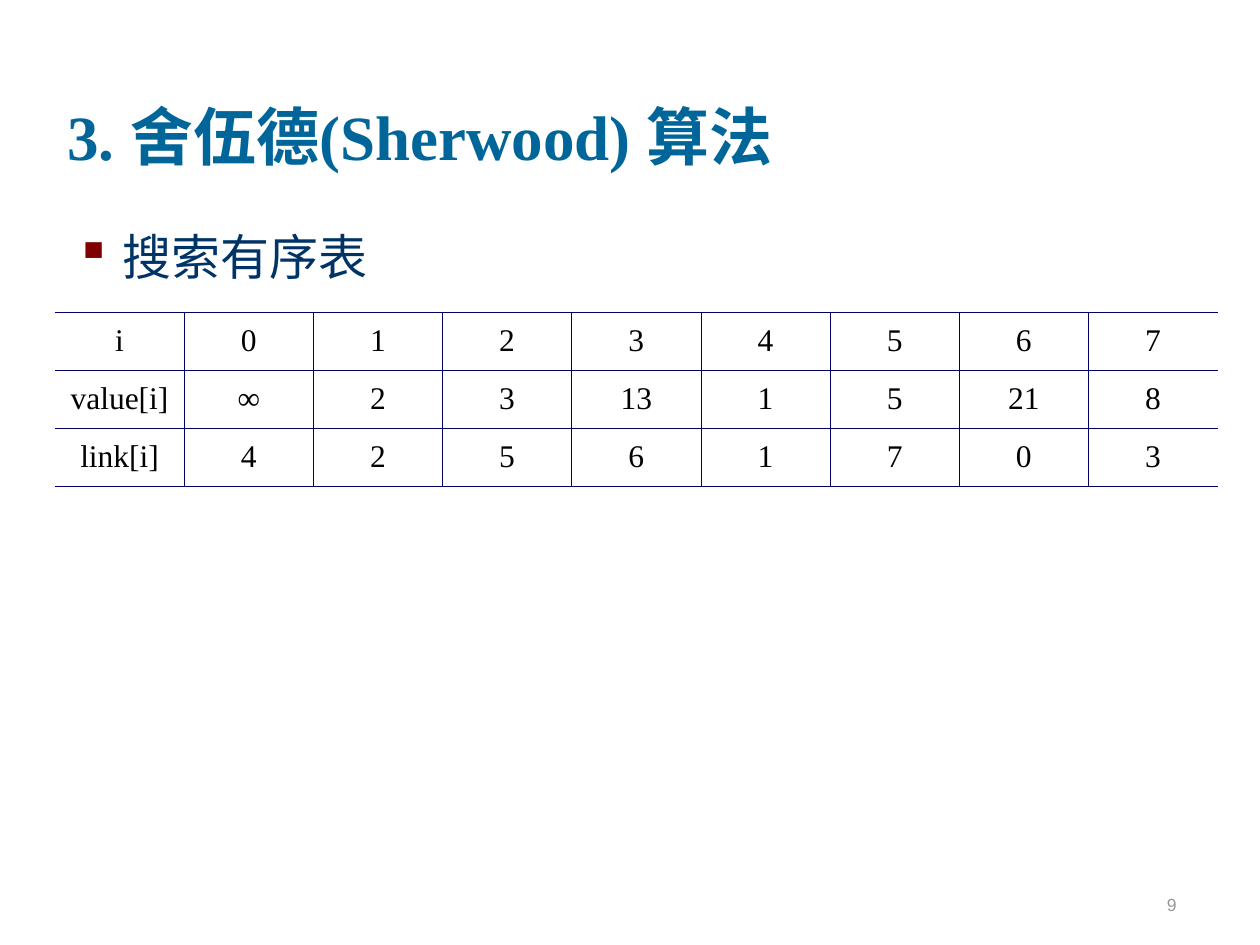
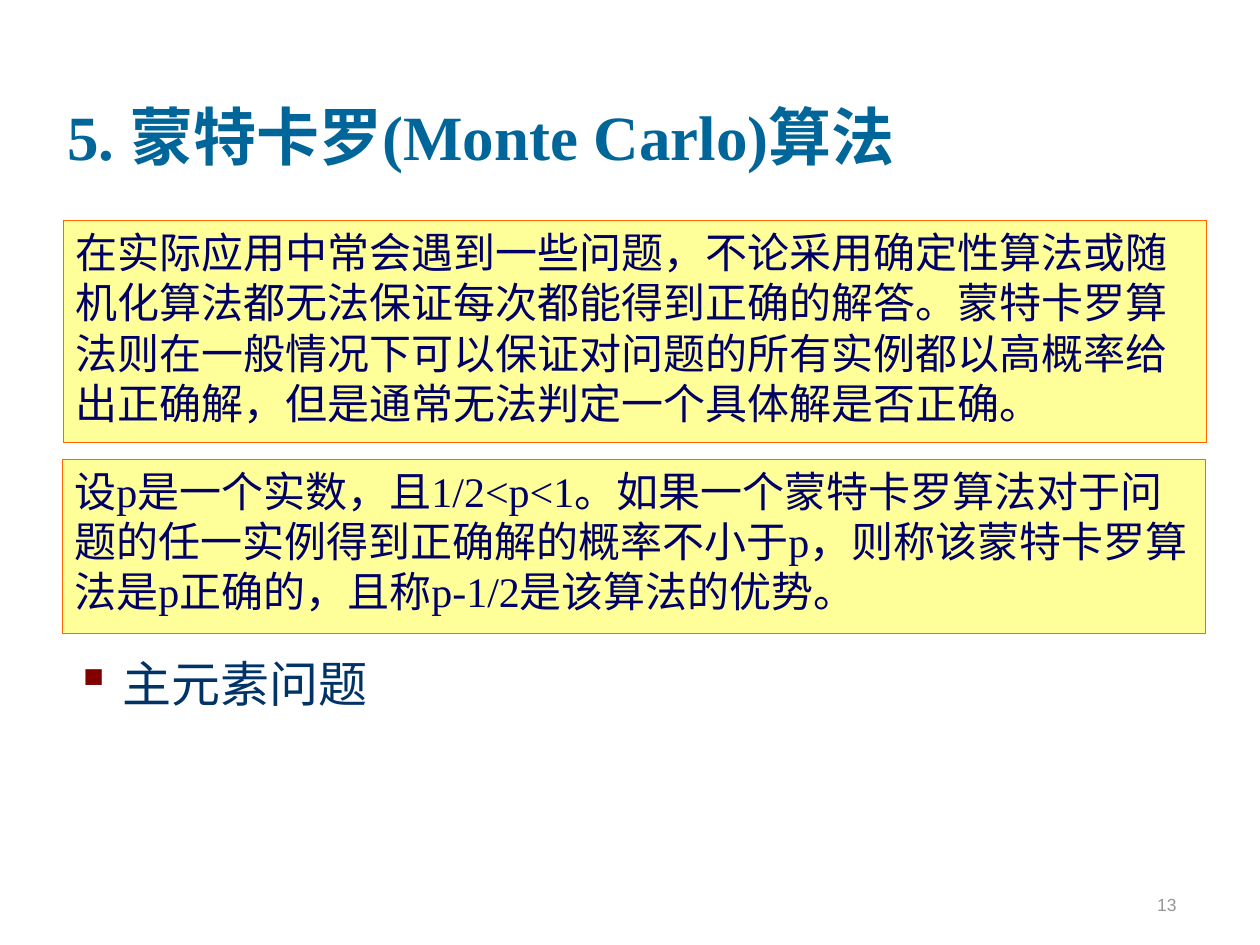
import lxml.etree
import pptx
import pptx.dml.color
import pptx.enum.shapes
import pptx.enum.text
import pptx.oxml
import pptx.oxml.ns
import pptx.util

EMU_PER_PX = 914400 / 126
SERIF, BODY_FONT, FOOTER_FONT = "Times New Roman", "Cambria", "Arial"
TITLE_BLUE, BODY_BLUE, NAVY = "006699", "003366", "000066"
BULLET_RED, FOOTER_GREY, BLACK = "800000", "969696", "000000"
PALE_YELLOW, ORANGE = "FFFF99", "FF6600"
LEFT = pptx.enum.text.PP_ALIGN.LEFT
CENTER = pptx.enum.text.PP_ALIGN.CENTER
RIGHT = pptx.enum.text.PP_ALIGN.RIGHT
TOP = pptx.enum.text.MSO_ANCHOR.TOP
BOTTOM = pptx.enum.text.MSO_ANCHOR.BOTTOM


def px(*lengths):
    return [pptx.util.Emu(round(length * EMU_PER_PX)) for length in lengths]


def write(frame, text, font_name, size, color, bold=False, align=LEFT, anchor=TOP):
    """Fill the first paragraph of a text frame with one styled run."""
    frame.word_wrap = True
    frame.vertical_anchor = anchor
    para = frame.paragraphs[0]
    para.alignment = align
    span = para.add_run()
    span.text = text
    span.font.name = font_name
    span.font.size = pptx.util.Pt(size)
    span.font.bold = bold
    span.font.color.rgb = pptx.dml.color.RGBColor.from_string(color)
    return para


deck = pptx.Presentation()
deck.slide_width, deck.slide_height = px(1260, 945)

# Title, bullet topic with its top edge, and page number of each slide
outline = [
    ("3. 舍伍德(Sherwood) 算法", "搜索有序表", 220, "9"),
    ("5. 蒙特卡罗(Monte Carlo)算法", "主元素问题", 647, "13"),
]
pages = []
for title, topic, topic_top, number in outline:
    page = deck.slides.add_slide(deck.slide_layouts[6])
    pages.append(page)

    title_box = page.shapes.add_textbox(*px(55, 21, 1071, 158))
    write(title_box.text_frame, title, SERIF, 36, TITLE_BLUE, bold=True, anchor=BOTTOM)

    topic_box = page.shapes.add_textbox(*px(63, topic_top, 1126, 75))
    para = write(topic_box.text_frame, topic, BODY_FONT, 28, BODY_BLUE)
    indent = px(47)[0]
    properties = para._p.get_or_add_pPr()
    properties.set("marL", str(indent))
    properties.set("indent", str(-indent))
    bullet_color = lxml.etree.SubElement(properties, pptx.oxml.ns.qn("a:buClr"))
    lxml.etree.SubElement(bullet_color, pptx.oxml.ns.qn("a:srgbClr"), val=BULLET_RED)
    lxml.etree.SubElement(properties, pptx.oxml.ns.qn("a:buChar"), char="▪")

    number_box = page.shapes.add_textbox(*px(927, 858, 262, 63))
    write(number_box.text_frame, number, FOOTER_FONT, 10, FOOTER_GREY,
          align=RIGHT, anchor=BOTTOM)

sherwood_page, monte_carlo_page = pages

# Ordered list stored as value and link arrays
list_rows = [
    ["i", "0", "1", "2", "3", "4", "5", "6", "7"],
    ["value[i]", "∞", "2", "3", "13", "1", "5", "21", "8"],
    ["link[i]", "4", "2", "5", "6", "1", "7", "0", "3"],
]
column_count = len(list_rows[0])
table = sherwood_page.shapes.add_table(
    len(list_rows), column_count, *px(55, 312, 1163, 174)).table
table.first_row = False
table.horz_banding = False
for row, values in enumerate(list_rows):
    for column, value in enumerate(values):
        cell = table.cell(row, column)
        cell.fill.background()
        write(cell.text_frame, value, SERIF, 18, BLACK, align=CENTER)
        cell.vertical_anchor = pptx.enum.text.MSO_ANCHOR.MIDDLE
        open_side = {0: "L", column_count - 1: "R"}.get(column)
        for position, side in enumerate("LRTB"):
            if side == open_side:
                paint = "<a:noFill/>"
            else:
                paint = f'<a:solidFill><a:srgbClr val="{NAVY}"/></a:solidFill>'
            border = pptx.oxml.parse_xml(
                f'<a:ln{side} {pptx.oxml.ns.nsdecls("a")} w="5715">{paint}</a:ln{side}>')
            cell._tc.get_or_add_tcPr().insert(position, border)

# Monte Carlo motivation and definition
panels = [
    (63, 220, 223, "在实际应用中常会遇到一些问题，不论采用确定性算法或随机化算法都无法保证每次都能得到"
     "正确的解答。蒙特卡罗算法则在一般情况下可以保证对问题的所有实例都以高概率给出正确解，"
     "但是通常无法判定一个具体解是否正确。"),
    (62, 459, 175, "设p是一个实数，且1/2<p<1。如果一个蒙特卡罗算法对于问题的任一实例得到正确解的概率"
     "不小于p，则称该蒙特卡罗算法是p正确的，且称p-1/2是该算法的优势。"),
]
for left, top, height, text in panels:
    panel = monte_carlo_page.shapes.add_shape(
        pptx.enum.shapes.MSO_SHAPE.RECTANGLE, *px(left, top, 1144, height))
    panel.shadow.inherit = False
    panel.fill.solid()
    panel.fill.fore_color.rgb = pptx.dml.color.RGBColor.from_string(PALE_YELLOW)
    panel.line.color.rgb = pptx.dml.color.RGBColor.from_string(ORANGE)
    panel.line.width = pptx.util.Pt(0.5)
    write(panel.text_frame, text, SERIF, 24, NAVY)

deck.save("out.pptx")
